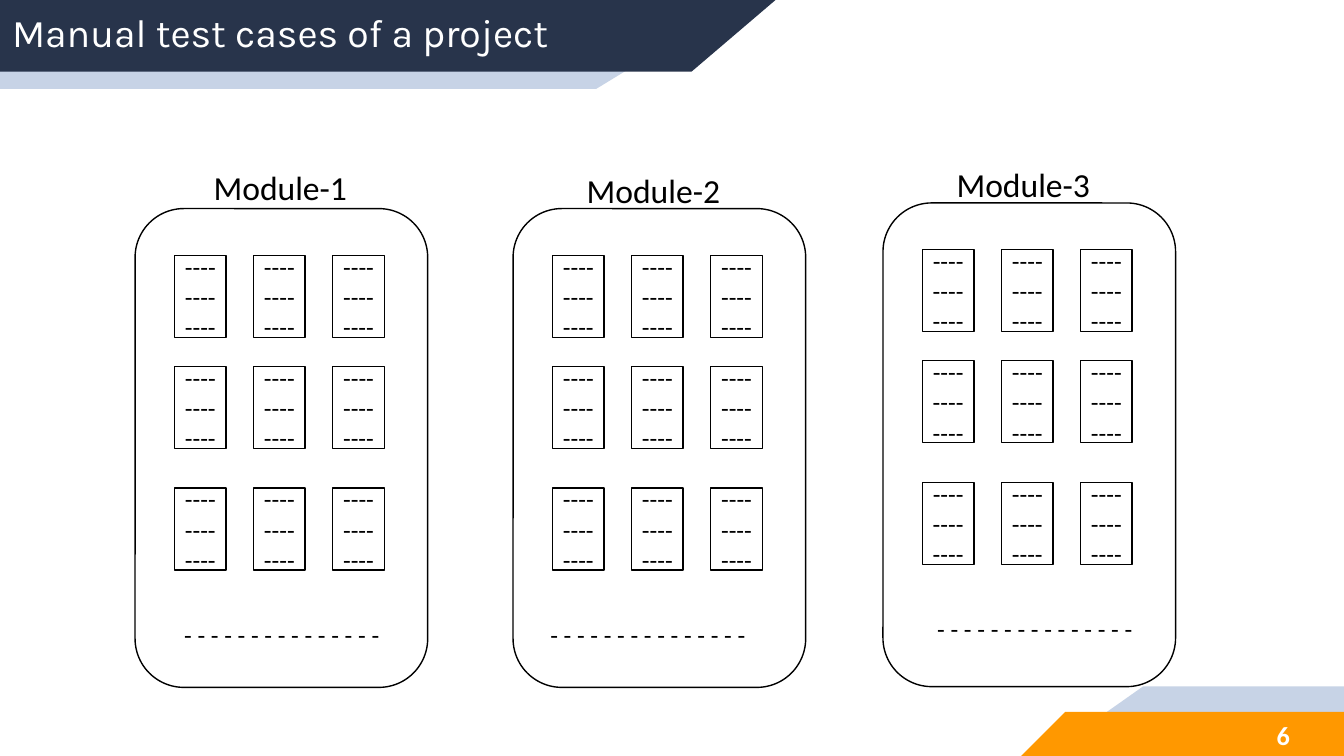
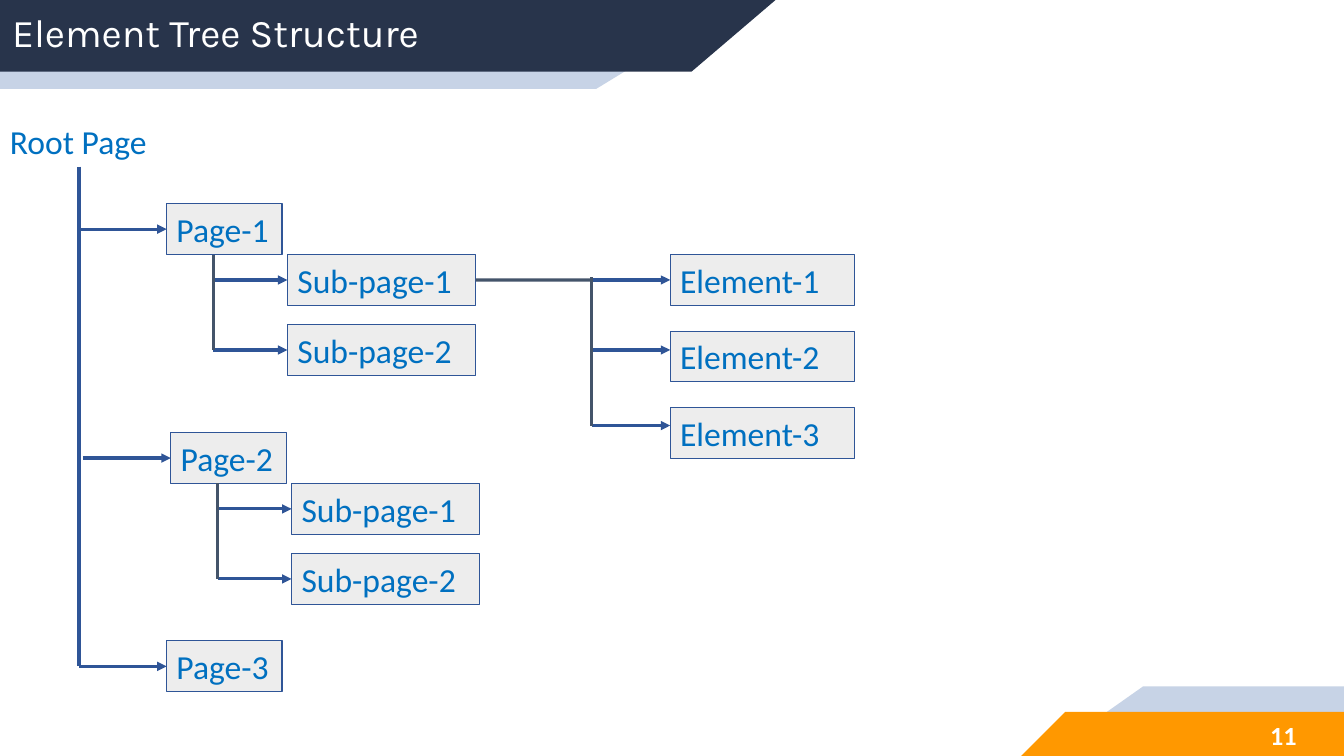
from dataclasses import dataclass

from lxml.etree import SubElement
from pptx import Presentation
from pptx.dml.color import RGBColor
from pptx.enum.shapes import MSO_CONNECTOR, MSO_SHAPE
from pptx.enum.text import MSO_ANCHOR, MSO_AUTO_SIZE, PP_ALIGN
from pptx.oxml.ns import qn
from pptx.util import Pt


@dataclass(frozen=True)
class Theme:
    navy: str = "28344B"
    pale: str = "C7D3E6"
    orange: str = "FF9800"
    white: str = "FFFFFF"
    black: str = "000000"
    node_fill: str = "EDEDED"
    node_text: str = "0070C0"
    arrow: str = "2F5597"
    spine: str = "44546A"
    title_font: str = "Karla"
    body_font: str = "Calibri"
    title_size: float = 28
    label_size: float = 24
    card_size: float = 18
    number_size: float = 18.7


THEME = Theme()
WIDTH, HEIGHT = 960, 540
NODE_HEIGHT = 36.35
TOP, LEFT, BOTTOM, RIGHT = range(4)  # connection sites of a rectangle


def rgb(value):
    return RGBColor.from_string(value)


# Basic parts
def set_text(shape, text, size=THEME.label_size, color=THEME.black,
             font=THEME.body_font, bold=False, align=PP_ALIGN.LEFT,
             anchor=MSO_ANCHOR.TOP, insets=(7.2, 3.6, 7.2, 3.6), spacing=None):
    """Fill a shape with text, one paragraph per line."""
    frame = shape.text_frame
    frame.text = text
    frame.word_wrap = True
    frame.auto_size = MSO_AUTO_SIZE.NONE
    frame.vertical_anchor = anchor
    (frame.margin_left, frame.margin_top,
     frame.margin_right, frame.margin_bottom) = map(Pt, insets)
    for paragraph in frame.paragraphs:
        paragraph.alignment = align
        if spacing:
            paragraph.line_spacing = spacing
        for run in paragraph.runs:
            run.font.name = font
            run.font.size = Pt(size)
            run.font.bold = bold
            run.font.color.rgb = rgb(color)


def add_label(slide, left, top, width, height, text, **text_format):
    box = slide.shapes.add_textbox(Pt(left), Pt(top), Pt(width), Pt(height))
    set_text(box, text, **text_format)


def paint(shape, fill, line=None, line_width=1):
    shape.shadow.inherit = False
    shape.fill.solid()
    shape.fill.fore_color.rgb = rgb(fill)
    if line:
        shape.line.color.rgb = rgb(line)
        shape.line.width = Pt(line_width)
    else:
        shape.line.fill.background()


def add_box(slide, left, top, width, height, fill, line, line_width=1,
            kind=MSO_SHAPE.RECTANGLE):
    shape = slide.shapes.add_shape(kind, Pt(left), Pt(top), Pt(width), Pt(height))
    paint(shape, fill, line, line_width)
    return shape


def add_line(slide, start, end, color=THEME.arrow, width=2.25, arrow=False,
             begin_shape=None, end_shape=None):
    """Draw a line; joined boxes are met on the right (begin) or left (end)."""
    connector = slide.shapes.add_connector(
        MSO_CONNECTOR.STRAIGHT, *map(Pt, (*start, *end)))
    connector.line.color.rgb = rgb(color)
    connector.line.width = Pt(width)
    properties = connector.element.spPr
    if arrow:
        SubElement(properties.get_or_add_ln(), qn("a:tailEnd"), type="triangle")
    SubElement(properties, qn("a:effectLst"))
    if begin_shape is not None:
        connector.begin_connect(begin_shape, RIGHT)
    if end_shape is not None:
        connector.end_connect(end_shape, LEFT)


# Shared look
def add_bands(slide):
    """Draw the header and footer bands and hand them to the slide's layout."""
    bands = [
        (THEME.pale, [(0, 0), (530, 0), (426, 63.4), (0, 63.4)]),
        (THEME.navy, [(0, 0), (554, 0), (494, 51.2), (0, 51.2)]),
        (THEME.pale, [(746, HEIGHT), (816.5, 490.3), (WIDTH, 490.3), (WIDTH, HEIGHT)]),
        (THEME.orange, [(729.5, HEIGHT), (761, 508.5), (WIDTH, 508.5), (WIDTH, HEIGHT)]),
    ]
    for color, outline in bands:
        corners = [(Pt(x), Pt(y)) for x, y in outline]
        builder = slide.shapes.build_freeform(*corners[0])
        builder.add_line_segments(corners[1:])
        band = builder.convert_to_shape()
        paint(band, color)
        slide.slide_layout.shapes.element.append(band.element)


def add_titled_slide(presentation, layout, title, number):
    slide = presentation.slides.add_slide(layout)
    heading = slide.shapes.title
    heading.left, heading.top = Pt(0), Pt(10)
    heading.width, heading.height = Pt(530), Pt(30)
    set_text(heading, title, size=THEME.title_size, color=THEME.white,
             font=THEME.title_font, anchor=MSO_ANCHOR.MIDDLE,
             insets=(8.6, 0, 0, 0), spacing=0.9)
    add_label(slide, 885, 509, 63.4, 32.4, number, size=THEME.number_size,
              color=THEME.white, bold=True, align=PP_ALIGN.CENTER,
              anchor=MSO_ANCHOR.MIDDLE, insets=(7.2,) * 4)
    return slide


# Test case modules
def add_module(slide, left, top, height, name, name_offset, dash_left):
    """One module: a name above a frame of three by three test cases."""
    add_box(slide, left, top, 209, height, THEME.white, THEME.black,
            kind=MSO_SHAPE.ROUNDED_RECTANGLE)
    add_label(slide, left + name_offset[0], top + name_offset[1], 132.5, NODE_HEIGHT, name)
    for row_top in (33.3, 112.6, 199.5):
        for column in range(3):
            card = add_box(slide, left + 28.2 + 56.5 * column, top + row_top,
                           36.8, 58.6, THEME.white, THEME.black)
            set_text(card, "--------\n----", size=THEME.card_size,
                     align=PP_ALIGN.CENTER, anchor=MSO_ANCHOR.MIDDLE)
    add_label(slide, left + dash_left, top + 289.7, 158.4, 29,
              "- - - - - - - - - - - - - - -", size=THEME.card_size)


def fill_modules_slide(slide):
    add_module(slide, 96.5, 149, 342, "Module-1", (49, -33), 28)
    add_module(slide, 366.5, 149, 342, "Module-2", (45.5, -31.5), 19.5)
    add_module(slide, 630.7, 145, 345.5, "Module-3", (45.5, -31.2), 31.7)


# Element tree
def add_node(slide, left, top, width, name):
    node = add_box(slide, left, top, width, NODE_HEIGHT, THEME.node_fill, THEME.arrow, 0.75)
    set_text(node, name, color=THEME.node_text)
    return node


def add_page(slide, left, top, name, trunk_left, sub_pages=()):
    """A page reached from the trunk, with its sub-pages on a spine below it."""
    page = add_node(slide, left, top, 82.5, name)
    middle = top + NODE_HEIGHT / 2
    add_line(slide, (trunk_left, middle), (left, middle), arrow=True, end_shape=page)
    nodes = []
    spine_left, spine_top = left + 33.5, top + NODE_HEIGHT
    for index, sub_page in enumerate(sub_pages):
        sub_left, sub_top = left + 86.3, spine_top + 50 * index
        node = add_node(slide, sub_left, sub_top, 134.5, sub_page)
        middle = sub_top + NODE_HEIGHT / 2
        add_line(slide, (spine_left, middle), (sub_left, middle), arrow=True, end_shape=node)
        nodes.append(node)
    if nodes:
        add_line(slide, (spine_left, spine_top), (spine_left, middle), color=THEME.spine)
    return nodes


def add_elements(slide, left, top, owner):
    """Elements stacked beside the sub-page that owns them."""
    spine_left, middle = left - 56, top + NODE_HEIGHT / 2
    for index, arrow_offset in enumerate((0, 50, 104)):
        node = add_node(slide, left, top + 54.7 * index, 132, f"Element-{index + 1}")
        arrow_top = middle + arrow_offset
        add_line(slide, (spine_left, arrow_top), (left, arrow_top), arrow=True,
                 end_shape=node if index == 0 else None)
    add_line(slide, (spine_left, middle - 2), (spine_left, arrow_top), color=THEME.spine)
    add_line(slide, (left - 139, middle), (spine_left, middle), color=THEME.spine,
             begin_shape=owner)


def fill_tree_slide(slide):
    trunk_left, page_left = 56.3, 119
    sub_pages = ("Sub-page-1", "Sub-page-2")
    add_label(slide, 0, 82.8, 119.5, NODE_HEIGHT, "Root Page", color=THEME.node_text)
    add_line(slide, (trunk_left, 119), (trunk_left, 476), width=3)
    owner, _ = add_page(slide, page_left, 145.5, "Page-1", trunk_left, sub_pages)
    add_elements(slide, 478.7, 181.8, owner)
    add_page(slide, page_left + 3, 309, "Page-2", trunk_left + 3, sub_pages)
    add_page(slide, page_left, 457.8, "Page-3", trunk_left)


def main():
    presentation = Presentation()
    presentation.slide_width, presentation.slide_height = Pt(WIDTH), Pt(HEIGHT)
    layout = presentation.slide_layouts.get_by_name("Title Only")
    modules = add_titled_slide(presentation, layout, "Manual test cases of a project", "6")
    add_bands(modules)
    fill_modules_slide(modules)
    tree = add_titled_slide(presentation, layout, "Element Tree Structure", "11")
    fill_tree_slide(tree)
    presentation.save("out.pptx")


if __name__ == "__main__":
    main()
